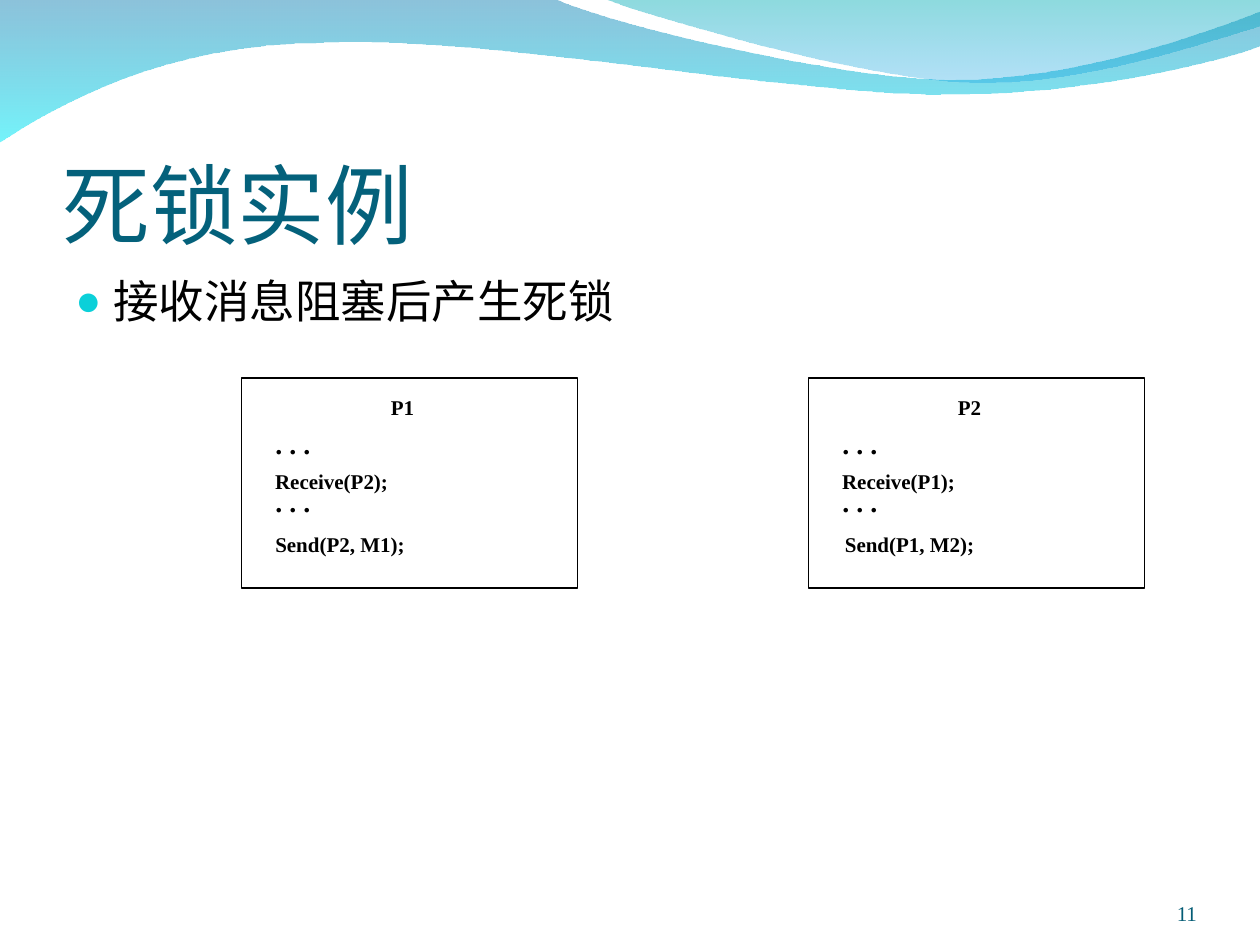
from dataclasses import dataclass

from lxml import etree
from pptx import Presentation
from pptx.dml.color import RGBColor
from pptx.enum.shapes import MSO_SHAPE
from pptx.enum.text import MSO_ANCHOR, PP_ALIGN
from pptx.oxml.ns import qn
from pptx.util import Pt

RECTANGLE = MSO_SHAPE.RECTANGLE
TOP, BOTTOM = MSO_ANCHOR.TOP, MSO_ANCHOR.BOTTOM
LEFT, CENTER, RIGHT = PP_ALIGN.LEFT, PP_ALIGN.CENTER, PP_ALIGN.RIGHT


@dataclass(frozen=True)
class Theme:
    title: str = "04617B"
    number: str = "045C75"
    ink: str = "000000"
    paper: str = "FFFFFF"
    bullet: str = "0BD0D9"
    wave: tuple = (("0079AF", 45), ("00EBF8", 55))
    crest: tuple = (("00ADB6", 45), ("009BE5", 30))
    title_size: int = 50
    body_size: int = 26
    dots_size: int = 16
    small_size: int = 12
    title_font: str = "Calibri"
    body_font: str = "TeX Gyre Pagella"
    code_font: str = "Times New Roman"


THEME = Theme()

WAVE = [
    (0, -0.7), (316.8, -0.7),
    (342.7, 12.2, 478.1, 45.4, 545.8, 45.4),
    (614.2, 45.4, 689.8, 18.7, 720, 6.5),
    (720.7, 25.9),
    (707.8, 31.7, 626.4, 54.7, 537.1, 54),
    (447.8, 54, 275, 20.2, 185, 24.5),
    (92.9, 25.2, 33.1, 59.8, -0.7, 81.4),
]
CREST = [
    (344.9, -0.7),
    (366.5, 7.9, 491, 44.6, 553.7, 46.8),
    (616.3, 49.7, 691.9, 23, 720, 15.1),
    (720, 0),
]


def color(value):
    return RGBColor.from_string(value)


def bend(shape, outline):
    lines = iter(list(shape._element.spPr.iter(qn("a:lnTo"))))
    for step in outline[1:]:
        group = [next(lines) for _ in range(len(step) // 2)]
        if len(group) == 3:
            curve = etree.Element(qn("a:cubicBezTo"))
            group[0].addprevious(curve)
            for line in group:
                curve.append(line[0])
                line.getparent().remove(line)


def write(box, text, *, size, font, ink, bold=False, align=LEFT, anchor=TOP,
          insets=(7.2, 3.6, 7.2, 3.6), wrap=True, bullet=None):
    frame = box.text_frame
    frame.word_wrap = wrap
    frame.vertical_anchor = anchor
    (frame.margin_left, frame.margin_top,
     frame.margin_right, frame.margin_bottom) = [Pt(inset) for inset in insets]
    para = frame.paragraphs[0]
    para.alignment = align
    if bullet:
        properties = para._p.get_or_add_pPr()
        properties.set("marL", str(Pt(21.6)))
        properties.set("indent", str(-Pt(21.6)))
        tint = etree.SubElement(properties, qn("a:buClr"))
        etree.SubElement(tint, qn("a:srgbClr"), val=bullet)
        etree.SubElement(properties, qn("a:buSzPct"), val="95000")
        etree.SubElement(properties, qn("a:buFont"), typeface=THEME.code_font)
        etree.SubElement(properties, qn("a:buChar"), char="●")
    span = para.add_run()
    span.text = text
    span.font.size = Pt(size)
    span.font.name = font
    span.font.bold = bold
    span.font.color.rgb = color(ink)


class SlideBuilder:
    def __init__(self, deck, theme):
        self.theme = theme
        self.page = deck.slides.add_slide(deck.slide_layouts[6])

    def ribbon(self, outline, gradient):
        start, *rest = [(Pt(x), Pt(y)) for step in outline
                        for x, y in zip(step[::2], step[1::2])]
        builder = self.page.shapes.build_freeform(*start)
        builder.add_line_segments(rest, close=True)
        shape = builder.convert_to_shape()
        bend(shape, outline)
        shape.shadow.inherit = False
        shape.line.fill.background()
        shape.fill.gradient()
        shape.fill.gradient_angle = 270
        for stop, position, (tint, _) in zip(shape.fill.gradient_stops, (0, 1), gradient):
            stop.position = position
            stop.color.rgb = color(tint)
        tints = list(shape._element.spPr.iter(qn("a:srgbClr")))
        for tint, (_, opacity) in zip(tints, gradient):
            etree.SubElement(tint, qn("a:alpha"), val=str(opacity * 1000))

    def text(self, left, top, width, height, text, **style):
        box = self.page.shapes.add_textbox(Pt(left), Pt(top), Pt(width), Pt(height))
        write(box, text, **style)

    def code(self, left, top, width, height, text, size):
        self.text(left, top, width, height, text, size=size, font=self.theme.code_font,
                  ink=self.theme.ink, bold=True, align=CENTER, wrap=False)

    def frame(self, left, top, width, height):
        shape = self.page.shapes.add_shape(RECTANGLE, Pt(left), Pt(top), Pt(width), Pt(height))
        shape.shadow.inherit = False
        shape.fill.solid()
        shape.fill.fore_color.rgb = color(self.theme.paper)
        shape.line.color.rgb = color(self.theme.ink)
        shape.line.width = Pt(1)

    def process(self, left, top, name, receive, send, send_inset):
        small, dots = self.theme.small_size, self.theme.dots_size
        self.frame(left, top, 192, 120)
        self.code(left + 78, top + 6, 28, 21.6, name, small)
        for offset in (24, 57.6):
            self.code(left + 12, top + offset, 34.6, 26.6, ". . .", dots)
        self.code(left + 12, top + 48, 79, 21.6, receive, small)
        self.code(left + send_inset, top + 84, 88.6, 21.6, send, small)


def main():
    deck = Presentation()
    deck.slide_width, deck.slide_height = Pt(720), Pt(540)
    slide = SlideBuilder(deck, THEME)
    slide.ribbon(WAVE, THEME.wave)
    slide.ribbon(CREST, THEME.crest)
    slide.text(36, 56, 648, 90, "死锁实例", size=THEME.title_size, font=THEME.title_font,
               ink=THEME.title, anchor=BOTTOM, insets=(0, 3.6, 0, 0))
    slide.text(36, 152.6, 648, 345.6, "接收消息阻塞后产生死锁", size=THEME.body_size,
               font=THEME.body_font, ink=THEME.ink, bullet=THEME.bullet)
    slide.text(624, 500.4, 60, 28.8, "11", size=THEME.small_size, font=THEME.code_font,
               ink=THEME.number, align=RIGHT, anchor=BOTTOM, insets=(0, 0, 0, 0))
    processes = [
        ("P1", "Receive(P2);", "Send(P2, M1);", 12),
        ("P2", "Receive(P1);", "Send(P1, M2);", 13.5),
    ]
    for index, details in enumerate(processes):
        slide.process(138 + 324 * index, 216, *details)
    deck.save("out.pptx")


if __name__ == "__main__":
    main()
